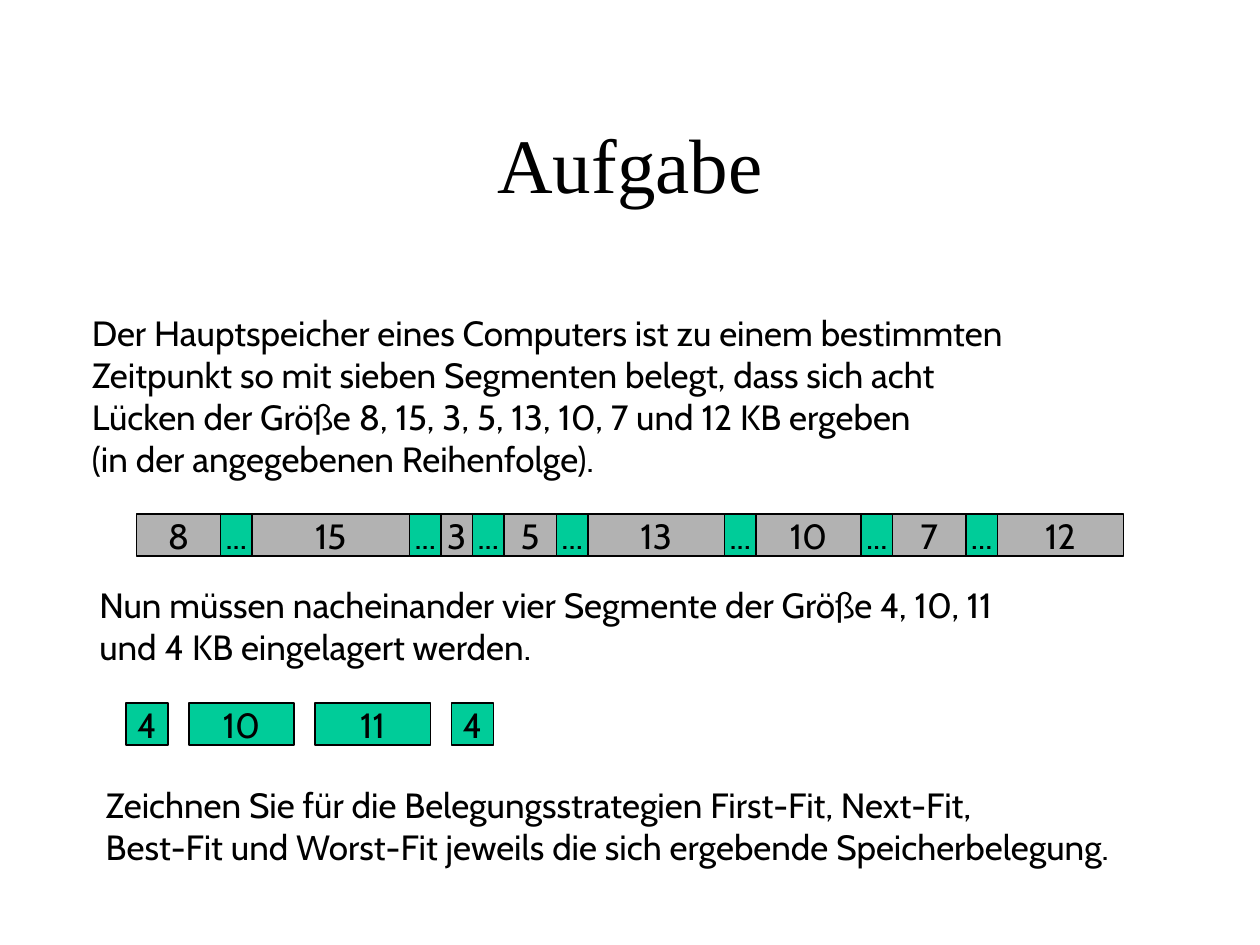
from pptx import Presentation
from pptx.dml.color import RGBColor
from pptx.enum.shapes import MSO_SHAPE
from pptx.enum.text import MSO_ANCHOR, MSO_AUTO_SIZE, PP_ALIGN
from pptx.util import Inches, Pt

BLACK, GAP_GRAY, SEGMENT_GREEN = "000000", "B2B2B2", "00CC99"
KB = 1 / 12  # inches per KB
BLOCK_HEIGHT = 4 * KB


def color(hex_code):
    return RGBColor.from_string(hex_code)


class SlideBuilder:
    title_font, title_size = "Times New Roman", 44
    body_font, body_size = "Cabin", 20

    def __init__(self, slide):
        self.slide = slide

    def add_run(self, paragraph, text, font_name, size):
        run = paragraph.add_run()
        run.text = text
        run.font.name = font_name
        run.font.size = Pt(size)
        run.font.color.rgb = color(BLACK)

    def title(self, text, left, top, width, height):
        heading = self.slide.shapes.title
        heading.left, heading.top = Inches(left), Inches(top)
        heading.width, heading.height = Inches(width), Inches(height)
        frame = heading.text_frame
        frame.vertical_anchor = MSO_ANCHOR.MIDDLE
        frame.paragraphs[0].alignment = PP_ALIGN.CENTER
        self.add_run(frame.paragraphs[0], text, self.title_font, self.title_size)

    def text(self, paragraphs, left, top, width, height):
        """Each paragraph is a list of lines."""
        box = self.slide.shapes.add_textbox(
            Inches(left), Inches(top), Inches(width), Inches(height))
        frame = box.text_frame
        frame.word_wrap = False
        frame.auto_size = MSO_AUTO_SIZE.SHAPE_TO_FIT_TEXT
        for index, lines in enumerate(paragraphs):
            paragraph = frame.add_paragraph() if index else frame.paragraphs[0]
            for number, line in enumerate(lines):
                if number:
                    paragraph.add_line_break()
                self.add_run(paragraph, line, self.body_font, self.body_size)

    def block(self, label, left, top, size_kb, fill):
        """Draw a memory block and return its right edge."""
        width = size_kb * KB
        block = self.slide.shapes.add_shape(
            MSO_SHAPE.RECTANGLE, Inches(left), Inches(top),
            Inches(width), Inches(BLOCK_HEIGHT))
        block.shadow.inherit = False
        block.fill.solid()
        block.fill.fore_color.rgb = color(fill)
        block.line.color.rgb = color(BLACK)
        block.line.width = Pt(0.75)
        frame = block.text_frame
        frame.word_wrap = False
        frame.vertical_anchor = MSO_ANCHOR.MIDDLE
        frame.paragraphs[0].alignment = PP_ALIGN.CENTER
        self.add_run(frame.paragraphs[0], label, self.body_font, self.body_size)
        return left + width


def main():
    presentation = Presentation()
    presentation.slide_width, presentation.slide_height = Inches(10), Inches(7.5)
    title_only = presentation.slide_layouts[5]
    builder = SlideBuilder(presentation.slides.add_slide(title_only))

    builder.title("Aufgabe", 0.75, 0.67, 8.5, 1.25)

    # Initial situation
    builder.text([[
        "Der Hauptspeicher eines Computers ist zu einem bestimmten ",
        "Zeitpunkt so mit sieben Segmenten belegt, dass sich acht ",
        "Lücken der Größe 8, 15, 3, 5, 13, 10, 7 und 12 KB ergeben ",
        "(in der angegebenen Reihenfolge).",
    ]], 0.63, 2.42, 8.32, 1.44)

    # Main memory: gaps separated by occupied segments
    memory_edge = 13 * KB
    for index, gap in enumerate([8, 15, 3, 5, 13, 10, 7, 12]):
        if index:
            memory_edge = builder.block("...", memory_edge, 4.08, 3, SEGMENT_GREEN)
        memory_edge = builder.block(str(gap), memory_edge, 4.08, gap, GAP_GRAY)

    # Segments to be stored
    builder.text([[
        "Nun müssen nacheinander vier Segmente der Größe 4, 10, 11 ",
        "und 4 KB eingelagert werden.",
    ]], 0.69, 4.58, 8.33, 0.77)
    segment_left = 1
    for segment in [4, 10, 11, 4]:
        segment_edge = builder.block(
            str(segment), segment_left, 5.58, segment, SEGMENT_GREEN)
        segment_left = segment_edge + 2 * KB

    # Task
    builder.text([
        ["Zeichnen Sie für die Belegungsstrategien First-Fit, Next-Fit,"],
        ["Best-Fit und Worst-Fit jeweils die sich ergebende Speicherbelegung."],
    ], 0.74, 6.17, 9.05, 0.77)

    presentation.save("out.pptx")


if __name__ == "__main__":
    main()
